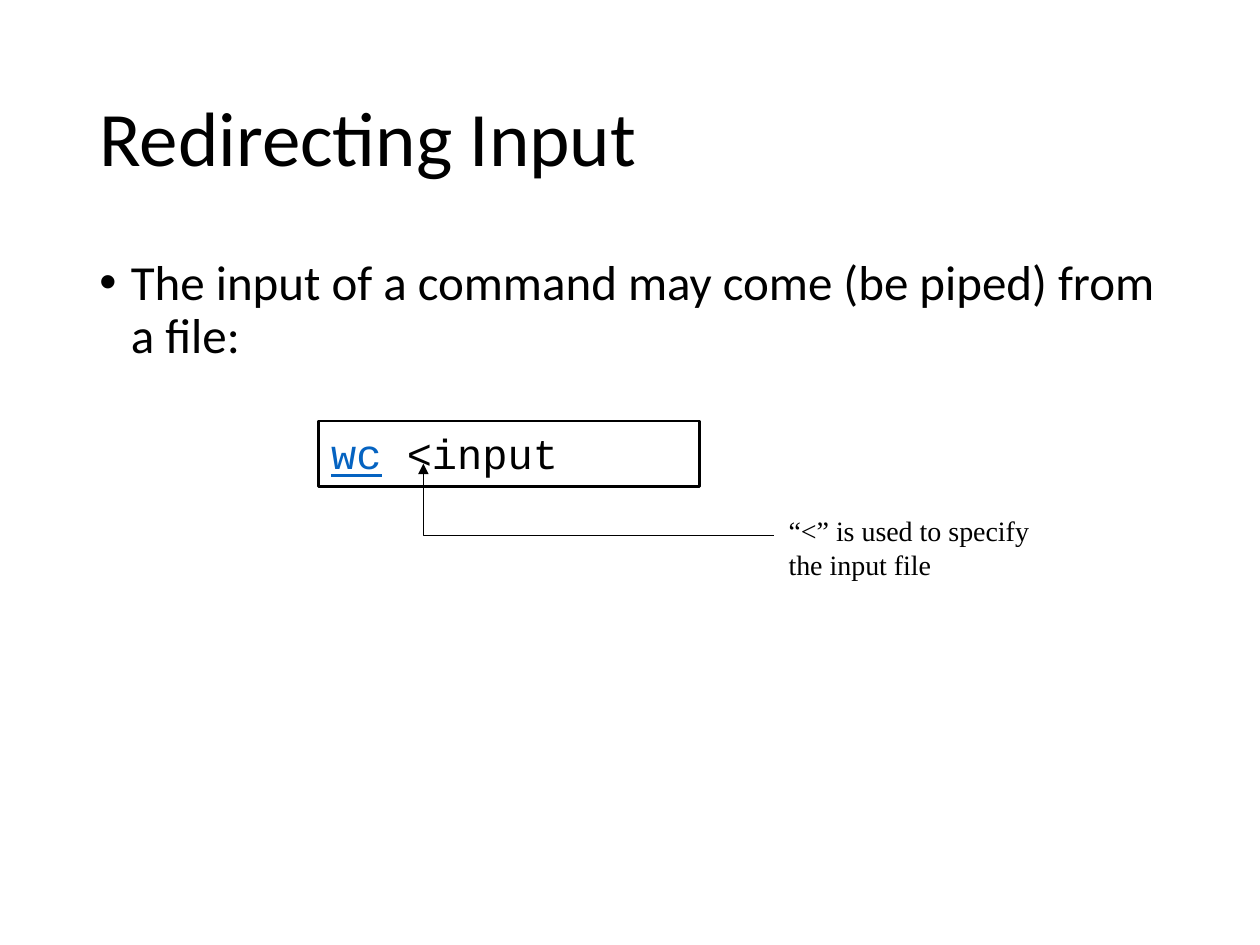
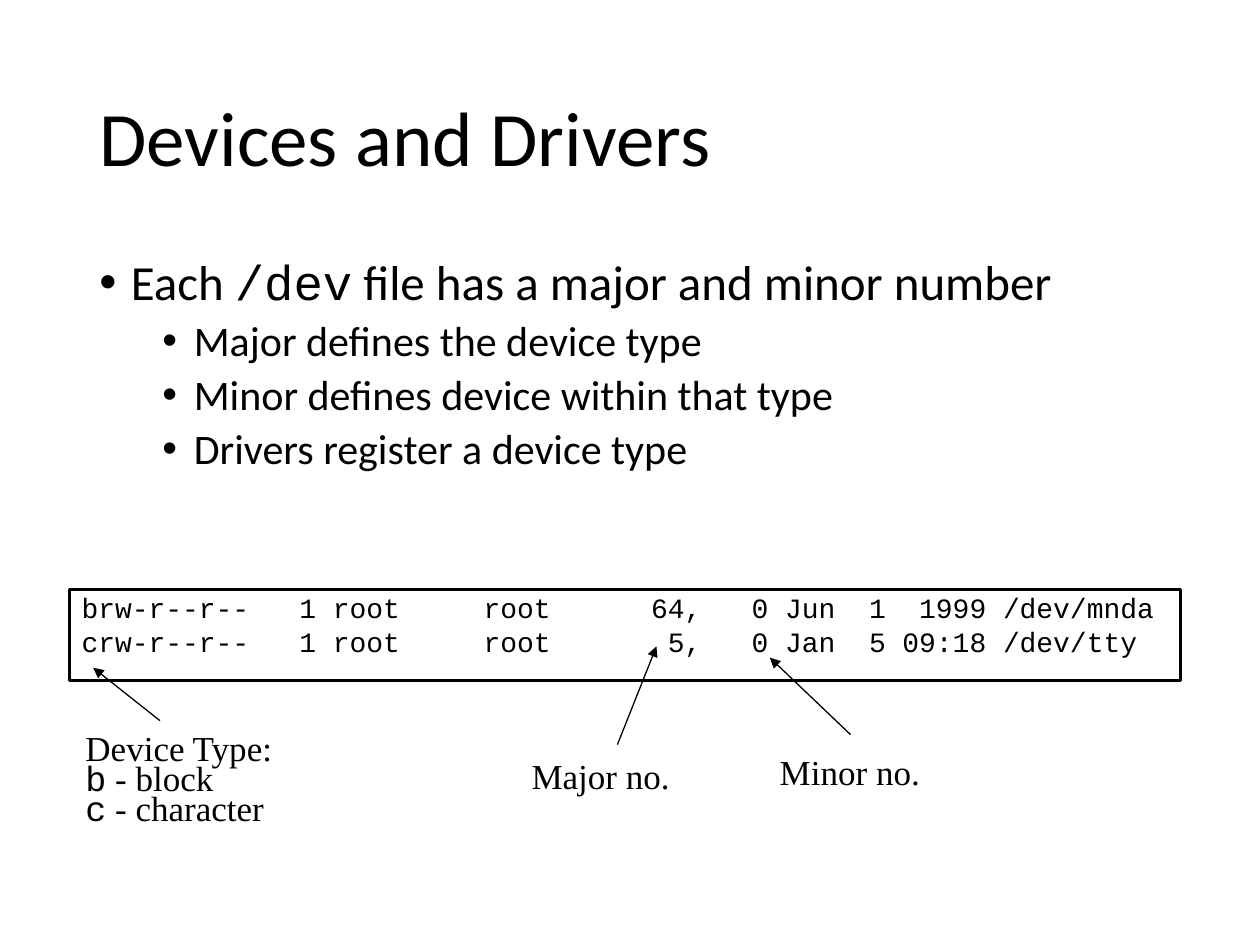
"""Build two course slides on input redirection and device files."""
from dataclasses import dataclass

from lxml.etree import SubElement
from pptx import Presentation
from pptx.dml.color import RGBColor
from pptx.enum.shapes import MSO_CONNECTOR, MSO_SHAPE
from pptx.enum.text import MSO_ANCHOR, MSO_AUTO_SIZE, PP_ALIGN
from pptx.oxml.ns import qn
from pptx.util import Pt

PX = 9144


@dataclass(frozen=True)
class Theme:
    ink: str = "000000"
    link: str = "0563C1"
    sans: str = "Calibri"
    mono: str = "Courier New"
    serif: str = "Times New Roman"
    title: int = 44
    body: int = 28
    detail: int = 24
    label: int = 20
    small: int = 16
    border: float = 1.5
    arrow: float = 0.75


def write(frame, paragraphs, *, font, size, color, anchor=MSO_ANCHOR.TOP,
          insets=(10, 5, 10, 5), grow=False, **spacing):
    """Fill a frame; each paragraph is a list of spans, a span is (text, changes)."""
    frame.word_wrap = True
    frame.vertical_anchor = anchor
    frame.auto_size = MSO_AUTO_SIZE.SHAPE_TO_FIT_TEXT if grow else MSO_AUTO_SIZE.NONE
    frame.margin_left, frame.margin_top, frame.margin_right, frame.margin_bottom = (
        side * PX for side in insets)
    for index, spans in enumerate(paragraphs):
        para = frame.paragraphs[0] if index == 0 else frame.add_paragraph()
        space(para, **spacing)
        for text, changes in spans:
            look = {"font": font, "size": size, "color": color, "underline": None} | changes
            run = para.add_run()
            run.text = text
            run.font.name = look["font"]
            run.font.size = Pt(look["size"])
            run.font.color.rgb = RGBColor.from_string(look["color"])
            run.font.underline = look["underline"]


def space(para, leading=None, half_line=False):
    """Set line spacing and, on request, half a line before the paragraph."""
    para.alignment = PP_ALIGN.LEFT
    if leading:
        para.line_spacing = leading
    if half_line:
        para.space_before = Pt(0)
        before = para._p.pPr.find(qn("a:spcBef"))
        before.remove(before[0])
        SubElement(before, qn("a:spcPct")).set("val", "50000")


def add_bullet(para, level):
    """Give a paragraph a hanging bullet for its level."""
    para.level = level
    para.space_before = Pt(5 if level else 10)
    properties = para._p.get_or_add_pPr()
    properties.set("marL", str((25 + 50 * level) * PX))
    properties.set("indent", str(-25 * PX))
    SubElement(properties, qn("a:buFont")).set("typeface", "Arial")
    SubElement(properties, qn("a:buChar")).set("char", "•")


class Deck:
    """Hold the theme, the presentation and the current page."""

    def __init__(self, theme):
        self.theme = theme
        self.presentation = Presentation()
        self.presentation.slide_width = 1000 * PX
        self.presentation.slide_height = 750 * PX
        self.page = None

    def add_page(self, title):
        """Start a page with its title."""
        layout = self.presentation.slide_layouts[6]
        self.page = self.presentation.slides.add_slide(layout)
        self.add_text((69, 40, 862, 145), [[(title, {})]], font=self.theme.sans,
                      size=self.theme.title, anchor=MSO_ANCHOR.MIDDLE, leading=0.9)

    def add_text(self, place, paragraphs, **style):
        """Add a text box and return it."""
        box = self.page.shapes.add_textbox(*(length * PX for length in place))
        write(box.text_frame, paragraphs, color=self.theme.ink, **style)
        return box

    def add_bullets(self, items):
        """Add the body text from (level, spans) items."""
        theme = self.theme
        paragraphs = [[(text, {"size": theme.detail if level else theme.body} | changes)
                       for text, changes in spans] for level, spans in items]
        box = self.add_text((69, 200, 862, 476), paragraphs, font=theme.sans,
                            size=theme.body, leading=0.9)
        for para, (level, _) in zip(box.text_frame.paragraphs, items):
            add_bullet(para, level)

    def add_label(self, place, paragraphs, size, **style):
        """Add a serif annotation."""
        self.add_text(place, paragraphs, font=self.theme.serif, size=size,
                      half_line=True, grow=True, **style)

    def add_code(self, place, paragraphs, size, **style):
        """Add a framed box of monospaced text."""
        box = self.page.shapes.add_shape(MSO_SHAPE.RECTANGLE,
                                         *(length * PX for length in place))
        box.shadow.inherit = False
        box.fill.background()
        self.draw_line(box.line, self.theme.border)
        write(box.text_frame, paragraphs, font=self.theme.mono, size=size,
              color=self.theme.ink, half_line=True, grow=True, **style)

    def add_arrow(self, start, end):
        """Add a straight arrow."""
        arrow = self.page.shapes.add_connector(
            MSO_CONNECTOR.STRAIGHT, *(length * PX for length in start + end))
        self.draw_line(arrow.line, self.theme.arrow, head=True)
        SubElement(arrow._element.spPr, qn("a:effectLst"))

    def add_bent_arrow(self, start, *points):
        """Add an open arrow through several points."""
        builder = self.page.shapes.build_freeform(*start, scale=PX)
        builder.add_line_segments(points, close=False)
        arrow = builder.convert_to_shape()
        arrow.shadow.inherit = False
        arrow.fill.background()
        self.draw_line(arrow.line, self.theme.arrow, head=True)

    def draw_line(self, line, width, head=False):
        """Style a line, with an arrowhead at its end on request."""
        line.color.rgb = RGBColor.from_string(self.theme.ink)
        line.width = Pt(width)
        if head:
            SubElement(line._get_or_add_ln(), qn("a:tailEnd")).set("type", "triangle")


def build_redirecting_input(deck):
    """Add the page on redirecting input."""
    theme = deck.theme
    deck.add_page("Redirecting Input")
    deck.add_bullets([
        (0, [("The input of a command may come (be piped) from a file:", {})])])
    command = [("wc", {"color": theme.link, "underline": True}), (" <input", {})]
    deck.add_code((253, 334, 302, 52), [command], theme.detail)
    deck.add_label((616, 403, 231, 64),
                   [[("“<” is used to specify the input file", {})]], theme.small)
    deck.add_bent_arrow((614, 425), (336, 425), (336, 368))


def build_devices_and_drivers(deck):
    """Add the page on device numbers."""
    theme = deck.theme
    mono = {"font": theme.mono}
    deck.add_page("Devices and Drivers")
    details = ("Major defines the device type", "Minor defines device within that type",
               "Drivers register a device type")
    deck.add_bullets([
        (0, [("Each ", {}), ("/dev", mono), (" file has a major and minor number", {})]),
        *((1, [(text, {})]) for text in details)])

    columns = "{} {:>3} {:<8} {:<8} {:>3}, {:>3} {} {:>2} {:>5} {}"
    devices = [
        ("brw-r--r--", 1, "root", "root", 64, 0, "Jun", 1, "1999", "/dev/mnda"),
        ("crw-r--r--", 1, "root", "root", 5, 0, "Jan", 5, "09:18", "/dev/tty")]
    deck.add_code((55, 468, 882, 72), [[(columns.format(*row), {})] for row in devices],
                  theme.small, insets=(10, 10, 10, 15), leading=0.6)

    for text, place in (("Major no.", (412, 594, 148, 43)),
                        ("Minor no.", (609, 591, 143, 43))):
        deck.add_label(place, [[(text, {})]], theme.label)
    kinds = [[(letter, mono), (f" - {kind}", {})]
             for letter, kind in (("b", "block"), ("c", "character"))]
    deck.add_label((58, 581, 193, 89), [[("Device Type:", {})], *kinds], theme.label,
                   insets=(10, 15, 10, 10), leading=0.3)
    for start, end in (((490, 591), (521, 513)), ((675, 583), (611, 522)),
                       ((127, 572), (74, 530))):
        deck.add_arrow(start, end)


def main():
    """Build and save the deck."""
    deck = Deck(Theme())
    build_redirecting_input(deck)
    build_devices_and_drivers(deck)
    deck.presentation.save("out.pptx")


if __name__ == "__main__":
    main()
